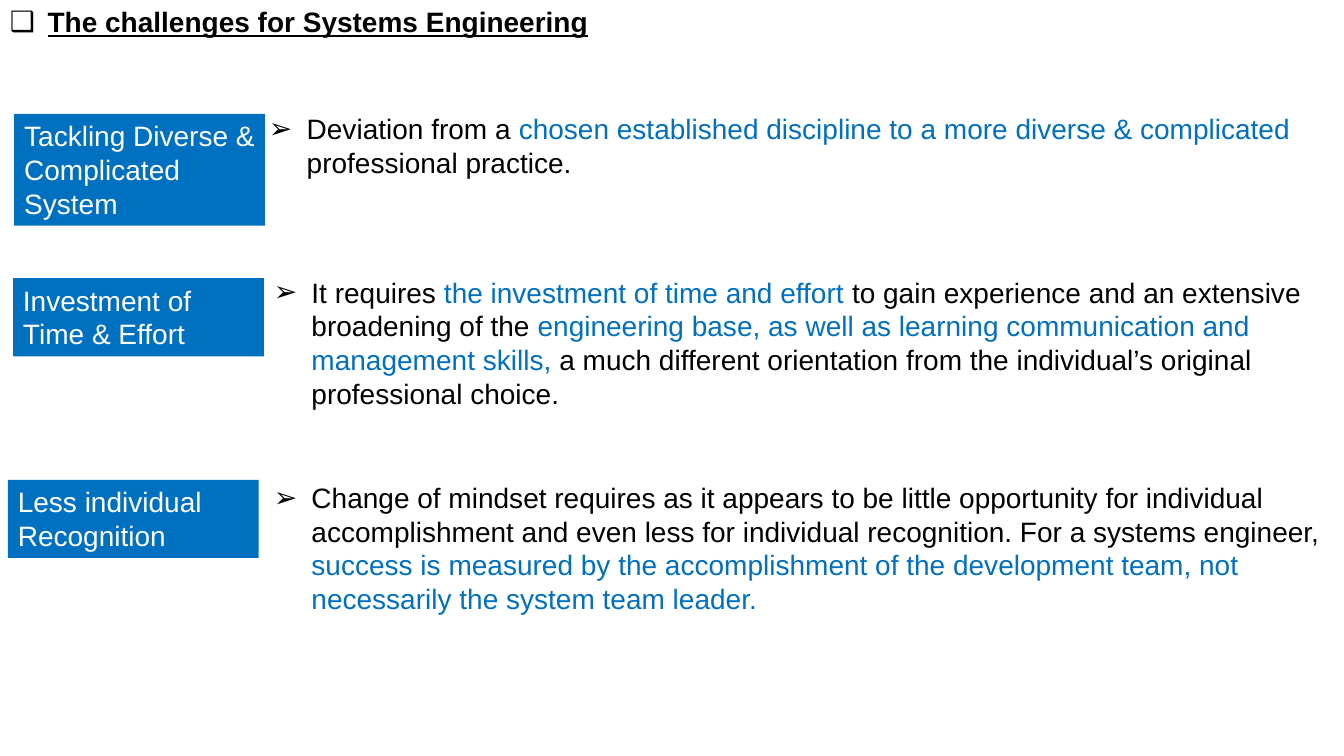
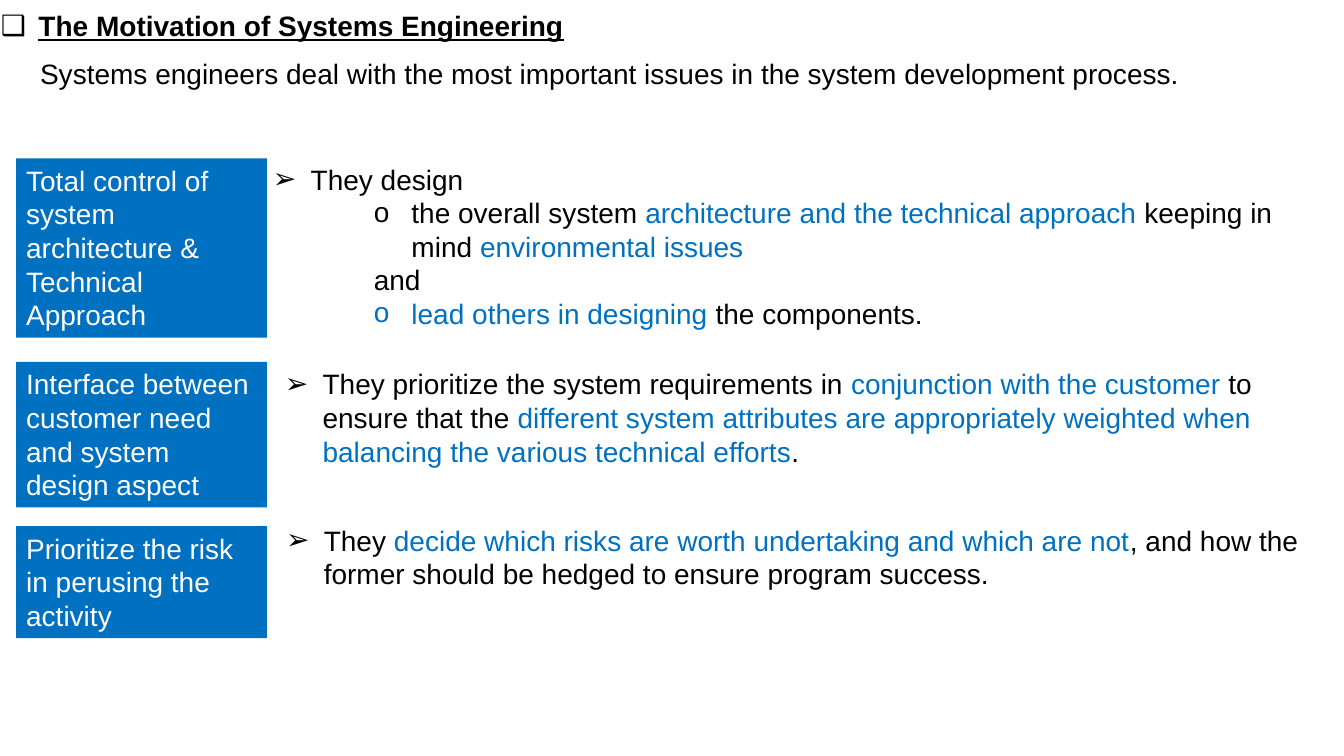
from lxml.etree import SubElement
from pptx import Presentation
from pptx.dml.color import RGBColor
from pptx.enum.shapes import MSO_SHAPE
from pptx.enum.text import MSO_ANCHOR, PP_ALIGN
from pptx.oxml.ns import qn
from pptx.util import Cm, Pt

BLACK, BLUE, WHITE = "000000", "0070C0", "FFFFFF"
FONT, SIZE = "Arial", 20
HANG = 0.95          # hanging indent of a bullet, cm
SUB_LEFT = 2.54      # left edge of the second level, cm
LABEL_W = 6.32

# Runs: a plain string is black, a one-item tuple is blue.
# Paragraphs: (bullet, level, runs). Positions and widths in cm.
SLIDES = [
    {
        "title": ("The challenges for Systems Engineering", 0, 0, 17.12),
        "intro": None,
        "rows": [
            {"label": ("Tackling Diverse & Complicated System", 0.36, 2.87, 3),
             "body": (6.53, 2.69, 26.42, 2),
             "paras": [("➢", 0, [
                 "Deviation from a ",
                 ("chosen established discipline to a more diverse & complicated ",),
                 "professional practice."])]},
            {"label": ("Investment of Time & Effort", 0.33, 7.01, 2),
             "body": (6.65, 6.81, 27.2, 4),
             "paras": [("➢", 0, [
                 "It requires ",
                 ("the investment of time and effort ",),
                 "to gain experience and an extensive broadening of the ",
                 ("engineering base, as well as learning communication and "
                  "management skills, ",),
                 "a much different orientation from the individual’s original "
                 "professional choice."])]},
            {"label": ("Less individual Recognition", 0.2, 12.09, 2),
             "body": (6.65, 11.99, 27.2, 4),
             "paras": [("➢", 0, [
                 "Change of mindset requires as it appears to be little opportunity "
                 "for individual accomplishment and even less for individual "
                 "recognition. For a systems engineer, ",
                 ("success is measured by the accomplishment of the development "
                  "team, not necessarily the system team leader.",)])]},
        ],
    },
    {
        "title": ("The Motivation of Systems Engineering", -0.23, 0.1, 20.12),
        "intro": ("Systems engineers deal with the most important issues in the "
                  "system development process.", 0.76, 1.3, 33.22),
        "rows": [
            {"label": ("Total control of system architecture & Technical Approach",
                       0.41, 3.99, 5),
             "body": (6.63, 3.96, 26.67, 5),
             "paras": [
                 ("➢", 0, ["They design"]),
                 ("o", 2, ["the overall system ",
                           ("architecture and the technical approach ",),
                           "keeping in mind ",
                           ("environmental issues",)]),
                 (None, 2, ["and"]),
                 ("o", 2, [("lead others in designing ",), "the components."])]},
            {"label": ("Interface between customer need and system design aspect",
                       0.41, 9.12, 4),
             "body": (6.93, 9.12, 26.95, 3),
             "paras": [("➢", 0, [
                 "They prioritize the system requirements in ",
                 ("conjunction with the customer ",),
                 "to ensure that the ",
                 ("different system attributes are appropriately weighted when "
                  "balancing the various technical efforts",),
                 "."])]},
            {"label": ("Prioritize the risk in perusing the activity",
                       0.41, 13.26, 3),
             "body": (6.96, 13.06, 27.18, 2),
             "paras": [("➢", 0, [
                 "They ",
                 ("decide which risks are worth undertaking and which are not",),
                 ", and how the former should be hedged to ensure program "
                 "success."])]},
        ],
    },
]


def rgb(hex_str):
    return RGBColor.from_string(hex_str)


def box_height(lines):
    """Height of a box for a number of text lines, margins included."""
    return Cm(0.27 + 0.85 * lines)


def add_run(p, text, color=BLACK, heading=False):
    r = p.add_run()
    r.text = text
    f = r.font
    f.name, f.size = FONT, Pt(SIZE)
    f.color.rgb = rgb(color)
    if heading:
        f.bold = f.underline = True


def set_indent(p, bullet, level):
    p.level = level
    left = SUB_LEFT if level else 0
    hang = HANG if bullet else 0
    pPr = p._p.get_or_add_pPr()
    pPr.set("marL", str(Cm(left + hang)))
    pPr.set("indent", str(Cm(-hang)))
    if bullet:
        SubElement(pPr, qn("a:buFont")).set("typeface", FONT)
        SubElement(pPr, qn("a:buChar")).set("char", bullet)


def add_text(s, left, top, width, lines, paras, heading=False):
    sp = s.shapes.add_textbox(Cm(left), Cm(top), Cm(width), box_height(lines))
    tf = sp.text_frame
    tf.word_wrap = True
    for i, (bullet, level, runs) in enumerate(paras):
        p = tf.add_paragraph() if i else tf.paragraphs[0]
        set_indent(p, bullet, level)
        for run in runs:
            if isinstance(run, tuple):
                add_run(p, run[0], BLUE)
            else:
                add_run(p, run, heading=heading)


def add_label(s, text, left, top, lines):
    sp = s.shapes.add_shape(MSO_SHAPE.RECTANGLE, Cm(left), Cm(top),
                            Cm(LABEL_W), box_height(lines))
    sp.shadow.inherit = False
    sp.fill.solid()
    sp.fill.fore_color.rgb = rgb(BLUE)
    sp.line.fill.background()
    tf = sp.text_frame
    tf.word_wrap = True
    tf.vertical_anchor = MSO_ANCHOR.TOP
    p = tf.paragraphs[0]
    p.alignment = PP_ALIGN.LEFT
    add_run(p, text, WHITE)


def build_slide(prs, content):
    s = prs.slides.add_slide(prs.slide_layouts[6])

    # Heading and optional opening sentence
    title, left, top, width = content["title"]
    add_text(s, left, top, width, 1, [("❑", 0, [title])], heading=True)
    if content["intro"]:
        intro, left, top, width = content["intro"]
        add_text(s, left, top, width, 1, [(None, 0, [intro])])

    # Blue label with its explanation
    for row in content["rows"]:
        add_text(s, *row["body"], row["paras"])
        add_label(s, *row["label"])


def main():
    prs = Presentation()
    prs.slide_width, prs.slide_height = Cm(33.87), Cm(19.05)
    for content in SLIDES:
        build_slide(prs, content)
    prs.save("out.pptx")


if __name__ == "__main__":
    main()
